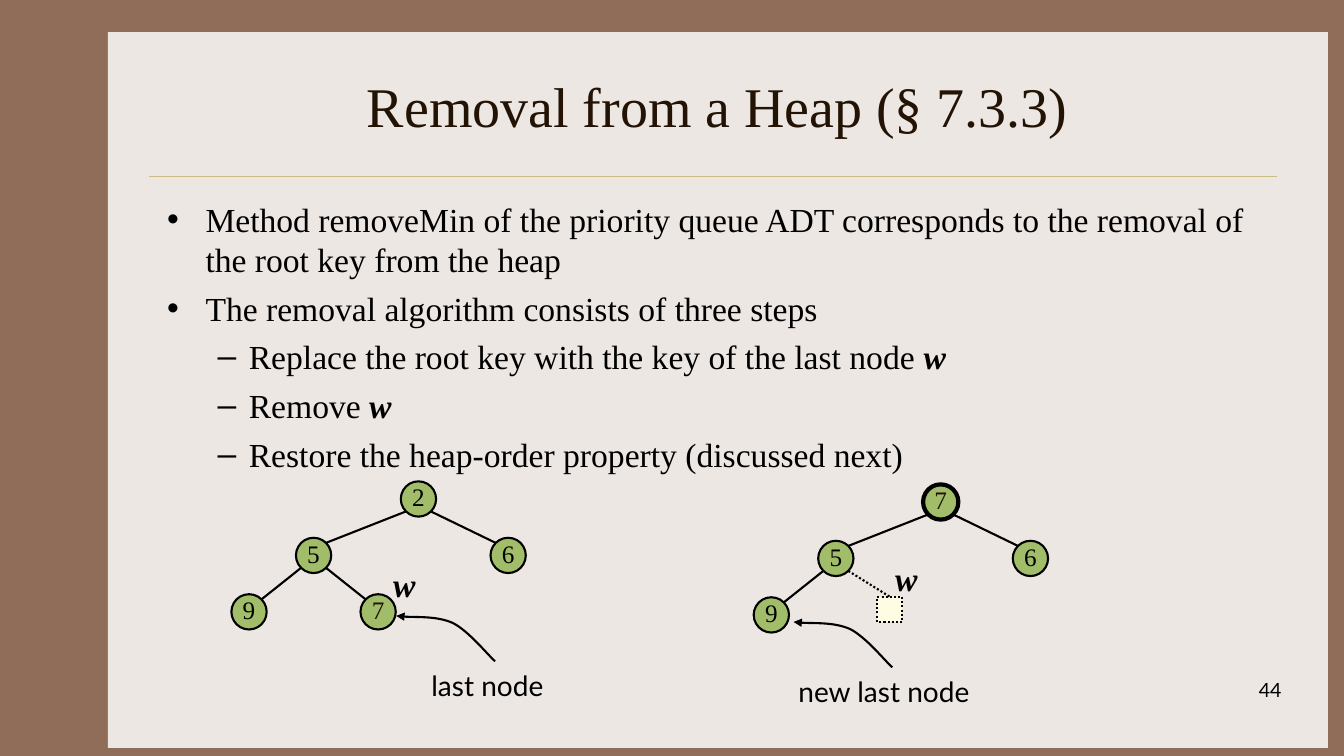
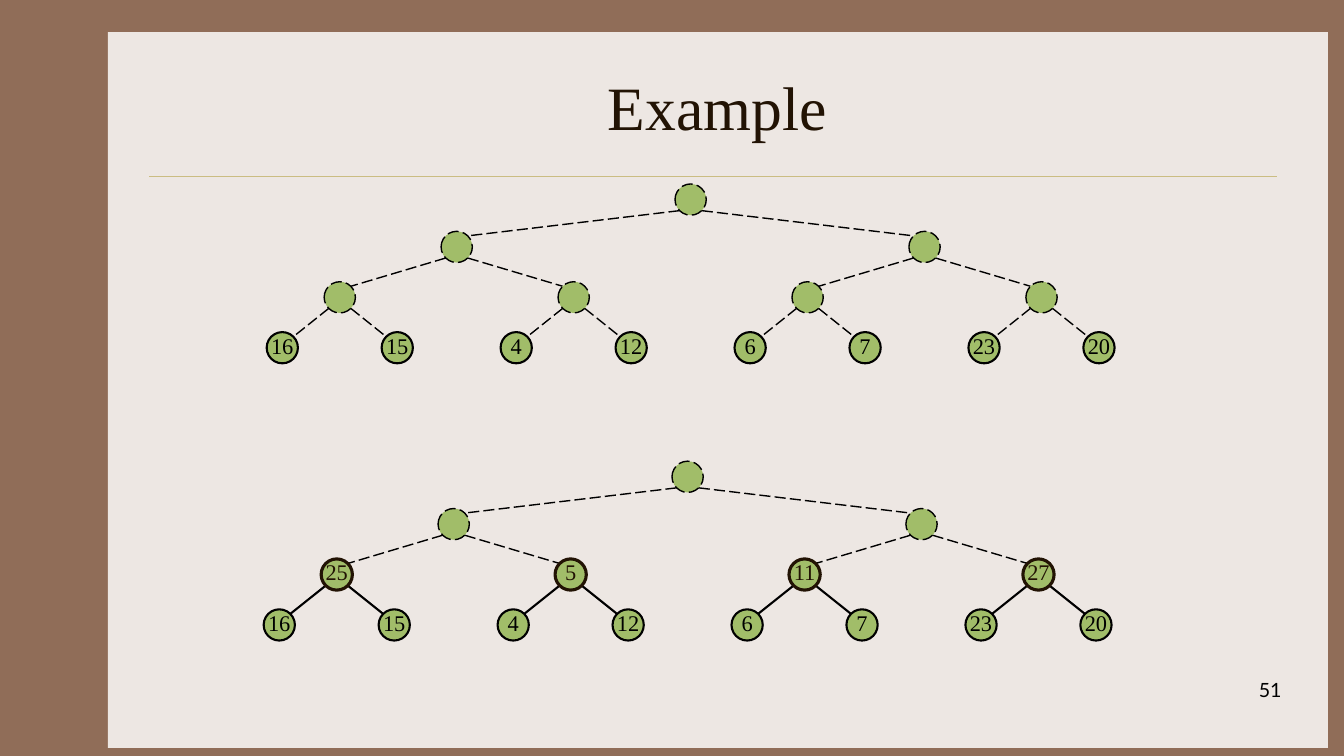
"""Build two slides on heap removal and bottom-up heap construction."""
from dataclasses import dataclass
from typing import Any, NamedTuple, Optional

from lxml.etree import SubElement
from pptx import Presentation
from pptx.dml.color import RGBColor
from pptx.enum.dml import MSO_LINE as DASH
from pptx.enum.shapes import MSO_CONNECTOR as CONN, MSO_SHAPE as SHAPE
from pptx.enum.text import MSO_ANCHOR as ANCHOR, MSO_AUTO_SIZE as AUTO, PP_ALIGN as ALIGN
from pptx.oxml.ns import qn
from pptx.util import Inches, Pt

COLS, ROWS = 13.33, 7.5
FRAME, PANEL, RULE, GREEN, CREAM = "906D58", "EDE7E3", "CBBD83", "A1BD69", "FEFDE3"
INK, BLACK = "221304", "000000"
SERIF, SANS = "Times New Roman", "Lato"
DIAGONAL = 0.71
ARROW = [(0.98, 0.45), (0.91, 0.39), (0.72, 0.15), (0.56, 0.07),
         (0.4, 0), (0.12, 0.02), (0, 0)]


class Box(NamedTuple):
    x: float
    y: float
    w: float
    h: float


class Pen(NamedTuple):
    color: str = BLACK
    width: float = 1.5
    dash: Optional[DASH] = None


class Run(NamedTuple):
    text: str
    size: float
    color: str = BLACK
    font: str = SERIF
    strong: bool = False


@dataclass
class Node:
    x: float
    y: float
    label: str = ""
    pen: Pen = Pen()
    color: str = BLACK


class Bullet(NamedTuple):
    level: int
    text: str
    key: str = ""


class Level(NamedTuple):
    margin: float
    hang: float
    mark: str


LEVELS = [Level(0.38, 0.38, "•"), Level(0.81, 0.31, "–")]
BULLETS = [
    Bullet(0, "Method removeMin of the priority queue ADT corresponds to the removal of "
              "the root key from the heap"),
    Bullet(0, "The removal algorithm consists of three steps"),
    Bullet(1, "Replace the root key with the key of the last node ", "w"),
    Bullet(1, "Remove ", "w"),
    Bullet(1, "Restore the heap-order property (discussed next)"),
]
DASHED = Pen(width=1, dash=DASH.LONG_DASH)
DOTTED = Pen(dash=DASH.ROUND_DOT)
LEAVES = ["16", "15", "4", "12", "6", "7", "23", "20"]
SPREADS = [0, 2.32, 1.16, 0.57]
DROPS = [0, 0.47, 0.97, 1.47]


def rgb(value: str) -> RGBColor:
    return RGBColor.from_string(value)


def cells(*values: float) -> list:
    return [Inches(v) for v in values]


def set_all(obj: Any, **values: Any) -> None:
    for name, value in values.items():
        setattr(obj, name, value)


def set_pen(line: Any, pen: Pen) -> None:
    line.color.rgb = rgb(pen.color)
    set_all(line, width=Pt(pen.width), dash_style=pen.dash)


def add_run(p: Any, run: Run) -> None:
    r = p.add_run()
    r.text = run.text
    set_all(r.font, name=run.font, size=Pt(run.size), bold=run.strong, italic=run.strong)
    r.font.color.rgb = rgb(run.color)


def add_block(slide: Any, kind: Any, box: Box, fill: str, pen: Optional[Pen] = None) -> Any:
    sp = slide.shapes.add_shape(kind, *cells(*box))
    sp.shadow.inherit = False
    sp.fill.solid()
    sp.fill.fore_color.rgb = rgb(fill)
    if pen:
        set_pen(sp.line, pen)
    else:
        sp.line.fill.background()
    return sp


def add_line(slide: Any, start: tuple, end: tuple, pen: Pen) -> Any:
    s = slide.shapes.add_connector(CONN.STRAIGHT, *cells(*start, *end))
    set_pen(s.line, pen)
    SubElement(s._element.spPr, qn("a:effectLst"))
    return s


def add_text(slide: Any, box: Box, run: Run, align: Any = ALIGN.LEFT,
             anchor: Any = ANCHOR.TOP, wrap: bool = True) -> None:
    tf = slide.shapes.add_textbox(*cells(*box)).text_frame
    set_all(tf, word_wrap=wrap, vertical_anchor=anchor,
            auto_size=AUTO.NONE if wrap else AUTO.SHAPE_TO_FIT_TEXT)
    p = tf.paragraphs[0]
    p.alignment = align
    add_run(p, run)


def add_bullets(slide: Any, box: Box, bullets: list) -> None:
    tf = slide.shapes.add_textbox(*cells(*box)).text_frame
    tf.word_wrap = True
    for i, bullet in enumerate(bullets):
        p = tf.add_paragraph() if i else tf.paragraphs[0]
        level = LEVELS[bullet.level]
        pPr = p._p.get_or_add_pPr()
        pPr.set("marL", str(Inches(level.margin)))
        pPr.set("indent", str(-Inches(level.hang)))
        SubElement(pPr, qn("a:buFont")).set("typeface", "Arial")
        SubElement(pPr, qn("a:buChar")).set("char", level.mark)
        set_all(p, level=bullet.level, space_before=Pt(6 if i else 0))
        add_run(p, Run(bullet.text, 24))
        if bullet.key:
            add_run(p, Run(bullet.key, 24, strong=True))


def add_node(slide: Any, node: Node, size: float, points: float) -> None:
    box = Box(node.x - size / 2, node.y - size / 2, size, size)
    sp = add_block(slide, SHAPE.OVAL, box, GREEN, node.pen)
    if node.label:
        tf = sp.text_frame
        set_all(tf, margin_left=0, margin_right=0, margin_top=0, margin_bottom=Inches(0.05),
                word_wrap=False, vertical_anchor=ANCHOR.MIDDLE)
        tf.paragraphs[0].alignment = ALIGN.CENTER
        add_run(tf.paragraphs[0], Run(node.label, points, node.color))


def add_edge(slide: Any, parent: Node, child: Node, size: float, pen: Pen) -> None:
    dy = DIAGONAL * size / 2
    dx = dy if child.x > parent.x else -dy
    add_line(slide, (parent.x + dx, parent.y + dy), (child.x - dx, child.y - dy), pen)


def add_arrow(slide: Any, x: float, y: float) -> None:
    start, *rest = [tuple(cells(x + dx, y + dy)) for dx, dy in ARROW]
    builder = slide.shapes.build_freeform(*start)
    builder.add_line_segments(rest, close=False)
    sp = builder.convert_to_shape()
    sp.shadow.inherit = False
    sp.fill.background()
    set_pen(sp.line, Pen())
    SubElement(sp.line._get_or_add_ln(), qn("a:tailEnd")).set("type", "triangle")
    steps = sp._element.xpath(".//a:lnTo")
    outline = steps[0].getparent()
    for i in range(0, len(steps), 3):
        curve = SubElement(outline, qn("a:cubicBezTo"))
        for step in steps[i:i + 3]:
            curve.append(step[0])
            outline.remove(step)


def add_slide(prs: Any, title: str, size: float, number: int) -> Any:
    slide = prs.slides.add_slide(prs.slide_layouts[6])
    slide.background.fill.solid()
    slide.background.fill.fore_color.rgb = rgb(FRAME)
    add_block(slide, SHAPE.RECTANGLE, Box(1.07, 0.32, 12.1, 7.1), PANEL)
    add_line(slide, (1.48, 1.75), (12.67, 1.75), Pen(RULE, 0.25))
    add_text(slide, Box(1.56, 0.42, 11.11, 1.25), Run(title, size, INK),
             ALIGN.CENTER, ANCHOR.MIDDLE)
    add_text(slide, Box(10.03, 6.68, 2.78, 0.5), Run(str(number), 14, font=SANS), ALIGN.RIGHT)
    return slide


def add_removal_tree(slide: Any, x: float, y: float, root: Node, last: Optional[Node]) -> None:
    size = 0.35
    set_all(root, x=x, y=y)
    five, six = Node(x - 1.04, y + 0.56, "5"), Node(x + 0.89, y + 0.56, "6")
    nine = Node(five.x - 0.64, five.y + 0.56, "9")
    edges = [(root, five), (root, six), (five, nine)]
    if last:
        set_all(last, x=five.x + 0.64, y=nine.y)
        edges.append((five, last))
    else:
        removed = add_block(slide, SHAPE.RECTANGLE, Box(five.x + 0.41, five.y + 0.38, 0.25, 0.25),
                            CREAM, DOTTED)
        offset = DIAGONAL * size / 2
        s = add_line(slide, (five.x + offset, five.y + offset),
                     (five.x + 0.54, five.y + 0.38), DOTTED)
        s.end_connect(removed, 0)
    for parent, child in edges:
        add_edge(slide, parent, child, size, Pen())
    for node in [root] + [child for _, child in edges]:
        add_node(slide, node, size, 18)


def add_heap(slide: Any, x: float, y: float, keys: list) -> None:
    size = 0.31
    nodes: list = []
    for i, key in enumerate(keys):
        depth = (i + 1).bit_length() - 1
        parent = nodes[(i - 1) // 2] if i else None
        side = 1 if i % 2 == 0 else -1
        node = Node(parent.x + side * SPREADS[depth] if parent else x, y + DROPS[depth], key)
        if not key:
            node.pen = DASHED
        elif depth == 2:
            set_all(node, pen=Pen(INK, 2.25), color=INK)
        if parent:
            add_edge(slide, parent, node, size, Pen() if parent.label else DASHED)
        nodes.append(node)
    for node in nodes:
        add_node(slide, node, size, 16)


def main() -> None:
    prs = Presentation()
    set_all(prs, slide_width=Inches(COLS), slide_height=Inches(ROWS))

    slide = add_slide(prs, "Removal from a Heap (§ 7.3.3)", 40, 44)
    add_bullets(slide, Box(1.56, 1.92, 11.11, 4.5), BULLETS)
    add_removal_tree(slide, 4.15, 4.95, Node(0, 0, "2"), Node(0, 0, "7", color=INK))
    add_removal_tree(slide, 9.33, 4.98, Node(0, 0, "7", Pen(width=3), INK), None)
    for x, y in [(3.93, 6.11), (7.87, 6.17)]:
        add_arrow(slide, x, y)
    for box, run in [(Box(3.8, 5.55, 0.42, 0.5), Run("w", 24, strong=True)),
                     (Box(8.78, 5.49, 0.42, 0.5), Run("w", 24, strong=True)),
                     (Box(4.18, 6.58, 1.32, 0.43), Run("last node", 20, font=SANS)),
                     (Box(7.82, 6.64, 1.91, 0.43), Run("new last node", 20, font=SANS))]:
        add_text(slide, box, run, wrap=False)

    slide = add_slide(prs, "Example", 44, 51)
    add_heap(slide, 6.85, 1.98, [""] * 7 + LEAVES)
    add_heap(slide, 6.82, 4.73, [""] * 3 + ["25", "5", "11", "27"] + LEAVES)
    prs.save("out.pptx")


if __name__ == "__main__":
    main()
